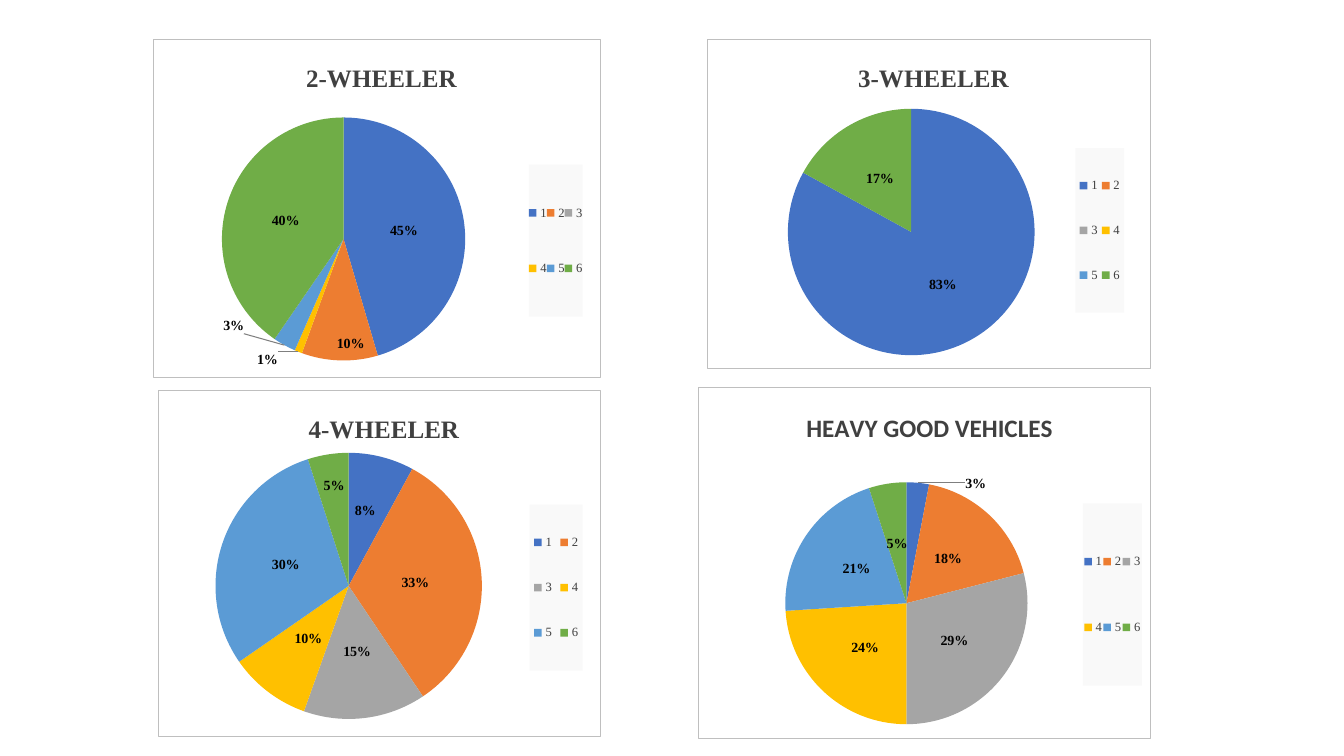
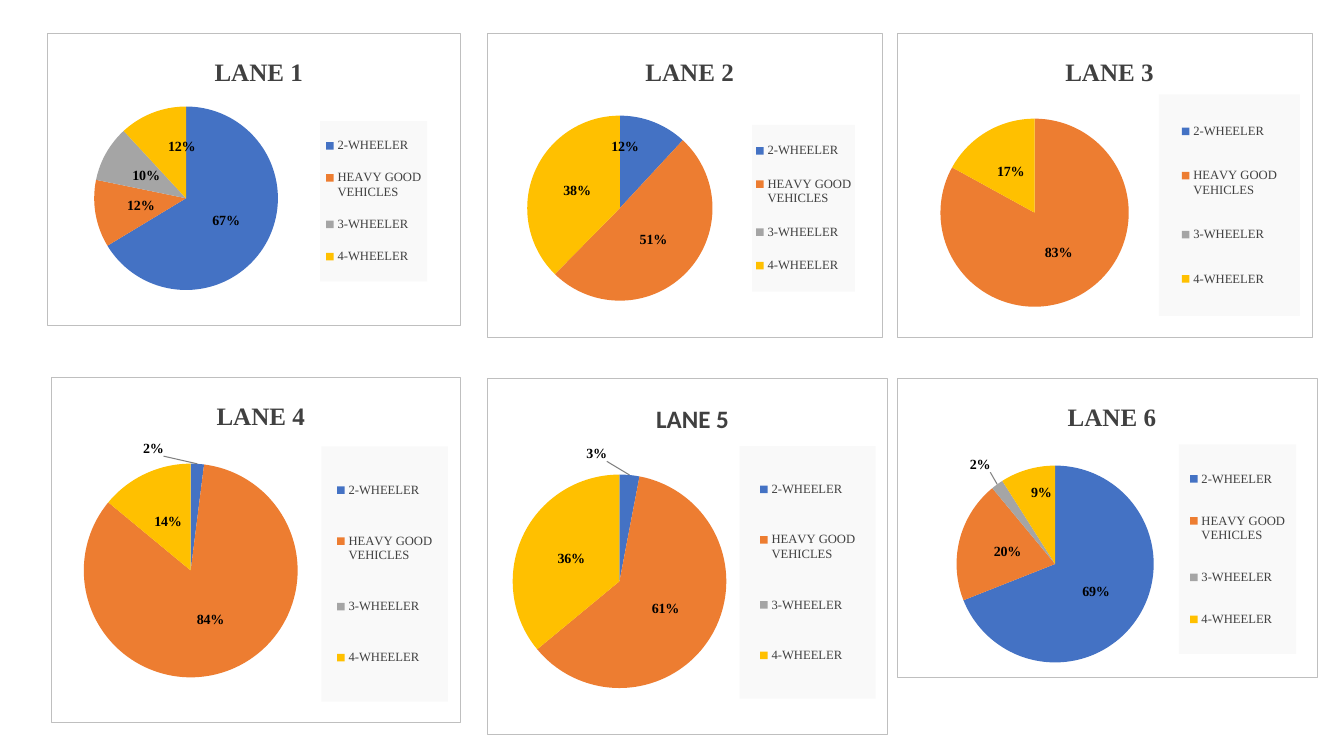
from dataclasses import dataclass

from lxml.etree import fromstring
from pptx import Presentation
from pptx.chart.data import CategoryChartData
from pptx.dml.color import RGBColor
from pptx.enum.chart import XL_CHART_TYPE, XL_LABEL_POSITION, XL_LEGEND_POSITION
from pptx.oxml.ns import qn
from pptx.util import Inches, Pt

NAMESPACES = (
    'xmlns:c="http://schemas.openxmlformats.org/drawingml/2006/chart" '
    'xmlns:a="http://schemas.openxmlformats.org/drawingml/2006/main"'
)


@dataclass(frozen=True)
class Theme:
    slices: tuple = ("4472C4", "ED7D31", "A5A5A5", "FFC000", "5B9BD5", "70AD47")
    heading: str = "404040"
    label: str = "000000"
    border: str = "BFBFBF"
    leader: str = "7F7F7F"
    legend_fill: str = "F9F9F9"
    serif: str = "Times New Roman"
    sans: str = "Calibri"
    title_size: int = 18
    label_size: int = 10
    legend_size: int = 9
    title_top: float = 0.18


THEME = Theme()


@dataclass(frozen=True)
class Pie:
    title: str
    box: tuple
    values: tuple
    plot: tuple
    legend: tuple
    title_width: float
    moved_labels: dict
    title_font: str = THEME.serif


LOCATIONS = ("1", "2", "3", "4", "5", "6")
VEHICLES = ("2-WHEELER", "HEAVY GOOD VEHICLES", "3-WHEELER", "4-WHEELER")

VEHICLE_PIES = (
    Pie("2-WHEELER", (1.52, 0.39, 4.44, 3.36), (45, 10, 0, 1, 3, 40),
        (0.1, 0.23, 0.65, 0.72), (0.84, 0.37, 0.12, 0.45), 1.5,
        {1: (0.02, 0.13), 3: (-0.12, 0.19), 4: (-0.18, 0.1)}),
    Pie("3-WHEELER", (7.01, 0.39, 4.41, 3.27), (83, 0, 0, 0, 0, 17),
        (0.18, 0.21, 0.56, 0.75), (0.83, 0.33, 0.11, 0.5), 1.5, {}),
    Pie("4-WHEELER", (1.57, 3.87, 4.39, 3.44), (8, 33, 15, 10, 30, 5),
        (0.12, 0.18, 0.62, 0.77), (0.84, 0.33, 0.12, 0.48), 1.5,
        {0: (0, -0.03), 5: (-0.01, -0.1)}),
    Pie("HEAVY GOOD VEHICLES", (6.92, 3.84, 4.5, 3.49), (3, 18, 29, 24, 21, 5),
        (0.19, 0.27, 0.54, 0.69), (0.85, 0.33, 0.13, 0.52), 2.44,
        {0: (0.14, -0.17)}, THEME.sans),
)

LANE_PIES = (
    Pie("LANE 1", (0.47, 0.33, 4.1, 2.9), (67, 12, 10, 12),
        (0.04, 0.25, 0.59, 0.63), (0.66, 0.3, 0.26, 0.55), 0.88,
        {3: (0.03, -0.03)}),
    Pie("LANE 2", (4.83, 0.33, 3.93, 3.02), (12, 51, 0, 38),
        (0.05, 0.27, 0.57, 0.61), (0.67, 0.3, 0.26, 0.55), 0.88,
        {0: (-0.03, -0.06)}),
    Pie("LANE 3", (8.9, 0.33, 4.12, 3.02), (0, 83, 0, 17),
        (0.04, 0.28, 0.58, 0.62), (0.63, 0.2, 0.34, 0.73), 0.88, {}),
    Pie("LANE 4", (0.51, 3.74, 4.06, 3.43), (2, 84, 0, 14),
        (0.05, 0.25, 0.58, 0.62), (0.66, 0.2, 0.31, 0.74), 0.88,
        {0: (-0.1, -0.2)}),
    Pie("LANE 5", (4.83, 3.75, 3.98, 3.54), (3, 61, 0, 36),
        (0.05, 0.27, 0.56, 0.6), (0.63, 0.19, 0.34, 0.71), 0.72,
        {0: (-0.07, -0.21)}, THEME.sans),
    Pie("LANE 6", (8.9, 3.75, 4.17, 2.98), (69, 20, 2, 9),
        (0.14, 0.29, 0.47, 0.66), (0.67, 0.22, 0.28, 0.7), 0.88,
        {2: (-0.11, -0.2), 3: (0, -0.08)}),
)


def chart_xml(markup):
    head, tail = markup.split(">", 1)
    if head.endswith("/"):
        return fromstring(f"{head[:-1]} {NAMESPACES}/>{tail}")
    return fromstring(f"{head} {NAMESPACES}>{tail}")


def layout_xml(position, mode="edge", inner=False):
    x, y, *size = position
    target = '<c:layoutTarget val="inner"/>' if inner else ""
    modes = "".join(f'<c:{axis}Mode val="{mode}"/>' for axis in "xy" if mode == "edge")
    fractions = "".join(
        f'<c:{side} val="{value:.3f}"/>' for side, value in zip("xywh", (x, y, *size))
    )
    return chart_xml(
        f"<c:layout><c:manualLayout>{target}{modes}{fractions}</c:manualLayout></c:layout>"
    )


def set_layout(parent, layout, after=None):
    for old in parent.findall(qn("c:layout")):
        parent.remove(old)
    if after is None:
        parent.insert(0, layout)
    else:
        parent.find(qn(after)).addnext(layout)


def style_font(font, size, color, name, bold=False):
    font.size = Pt(size)
    font.bold = bold
    font.name = name
    font.color.rgb = RGBColor.from_string(color)


def style_title(chart, pie):
    chart.has_title = True
    heading = chart.chart_title
    heading.include_in_layout = False
    paragraph = heading.text_frame.paragraphs[0]
    paragraph.text = pie.title
    style_font(paragraph.runs[0].font, THEME.title_size, THEME.heading, pie.title_font, True)
    width, height = pie.box[2:]
    corner = ((width - pie.title_width) / 2 / width, THEME.title_top / height)
    set_layout(heading._element, layout_xml(corner), "c:tx")


def style_legend(chart, pie):
    chart.has_legend = True
    legend = chart.legend
    legend.position = XL_LEGEND_POSITION.RIGHT
    legend.include_in_layout = False
    style_font(legend.font, THEME.legend_size, THEME.heading, THEME.serif)
    set_layout(legend._element, layout_xml(pie.legend), "c:legendPos")
    legend._element.find(qn("c:overlay")).addnext(chart_xml(
        f'<c:spPr><a:solidFill><a:srgbClr val="{THEME.legend_fill}"/></a:solidFill></c:spPr>'
    ))


def style_labels(series, pie):
    labels = series.data_labels
    labels.show_value = True
    labels.show_percentage = False
    labels.number_format = '0"%";;;'
    labels.number_format_is_linked = False
    labels.position = XL_LABEL_POSITION.CENTER
    style_font(labels.font, THEME.label_size, THEME.label, THEME.serif, True)
    for index, offset in pie.moved_labels.items():
        label = series.points[index].data_label
        label.position = XL_LABEL_POSITION.CENTER
        style_font(label.font, THEME.label_size, THEME.label, THEME.serif, True)
    for moved in labels._element.findall(qn("c:dLbl")):
        offset = pie.moved_labels[int(moved.find(qn("c:idx")).get("val"))]
        set_layout(moved, layout_xml(offset, "factor"), "c:idx")
        moved.find(qn("c:layout")).addnext(
            chart_xml('<c:numFmt formatCode="0&quot;%&quot;" sourceLinked="0"/>')
        )
    for old in labels._element.findall(qn("c:showLeaderLines")):
        labels._element.remove(old)
    labels._element.append(chart_xml('<c:showLeaderLines val="1"/>'))
    labels._element.append(chart_xml(
        '<c:leaderLines><c:spPr><a:ln w="9525"><a:solidFill>'
        f'<a:srgbClr val="{THEME.leader}"/></a:solidFill></a:ln></c:spPr></c:leaderLines>'
    ))


def add_pie(slide, pie, categories, series_name):
    data = CategoryChartData()
    data.categories = categories
    data.add_series(series_name, pie.values)
    frame = slide.shapes.add_chart(
        XL_CHART_TYPE.PIE, *(Inches(length) for length in pie.box), data
    )
    chart = frame.chart
    style_font(chart.font, THEME.label_size, THEME.label, THEME.sans)
    style_title(chart, pie)
    style_legend(chart, pie)
    plot = chart.plots[0]
    plot.vary_by_categories = True
    series = plot.series[0]
    for index, color in enumerate(THEME.slices[:len(categories)]):
        fill = series.points[index].format.fill
        fill.solid()
        fill.fore_color.rgb = RGBColor.from_string(color)
    style_labels(series, pie)
    body = chart._chartSpace.find(qn("c:chart"))
    set_layout(body.find(qn("c:plotArea")), layout_xml(pie.plot, inner=True))
    body.addnext(chart_xml(
        '<c:spPr><a:solidFill><a:srgbClr val="FFFFFF"/></a:solidFill>'
        f'<a:ln w="{Pt(0.75)}"><a:solidFill><a:srgbClr val="{THEME.border}"/>'
        "</a:solidFill></a:ln></c:spPr>"
    ))


def add_vehicle_slide(deck):
    slide = deck.slides.add_slide(deck.slide_layouts[6])
    for pie in VEHICLE_PIES:
        add_pie(slide, pie, LOCATIONS, pie.title)


def add_lane_slide(deck):
    slide = deck.slides.add_slide(deck.slide_layouts[6])
    for pie in LANE_PIES:
        add_pie(slide, pie, VEHICLES, "Series 1")


def main():
    deck = Presentation()
    deck.slide_width = Inches(13.33)
    deck.slide_height = Inches(7.5)
    add_vehicle_slide(deck)
    add_lane_slide(deck)
    deck.save("out.pptx")


if __name__ == "__main__":
    main()
